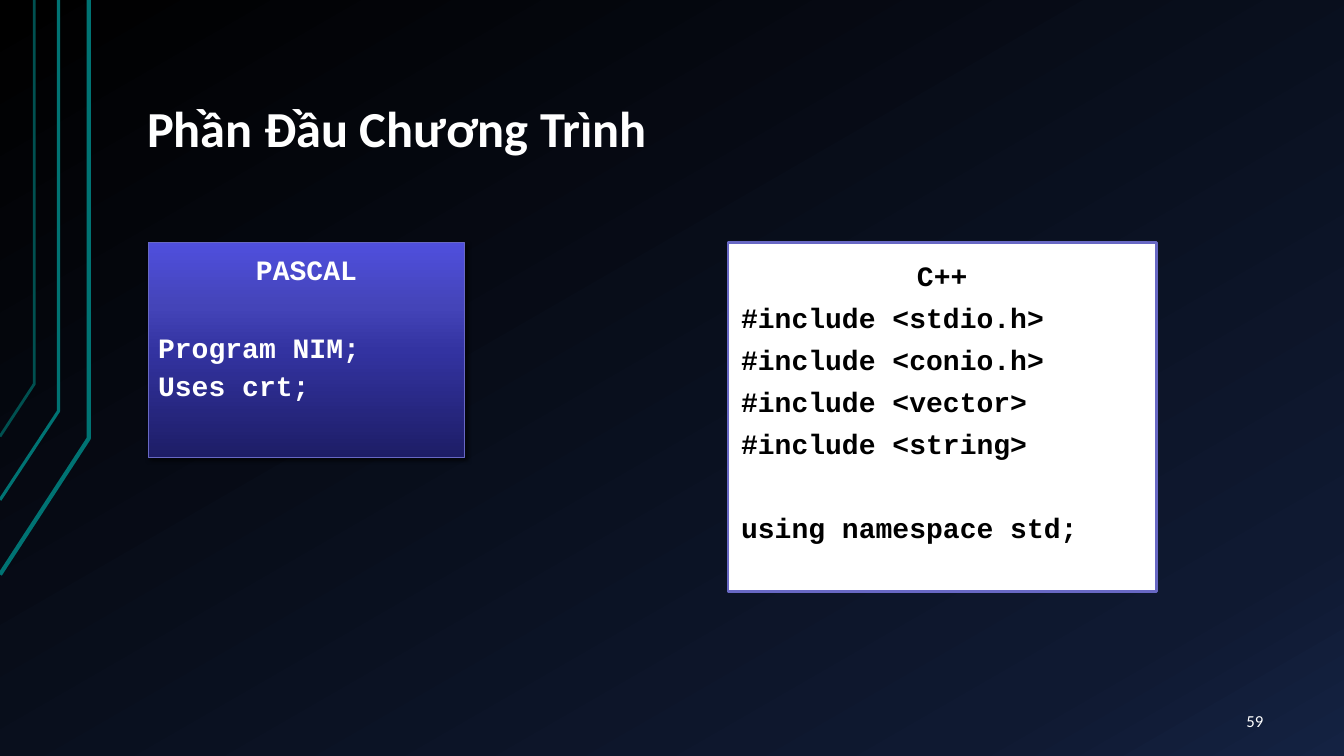
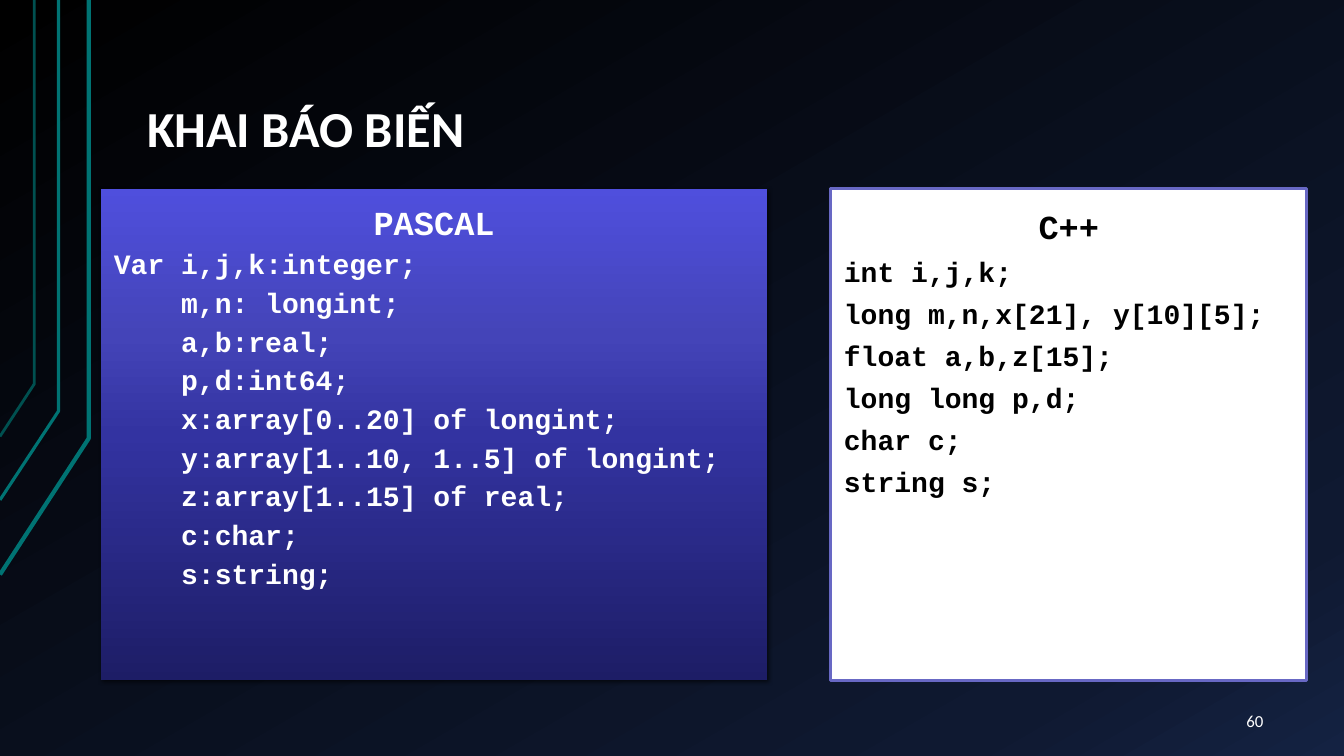
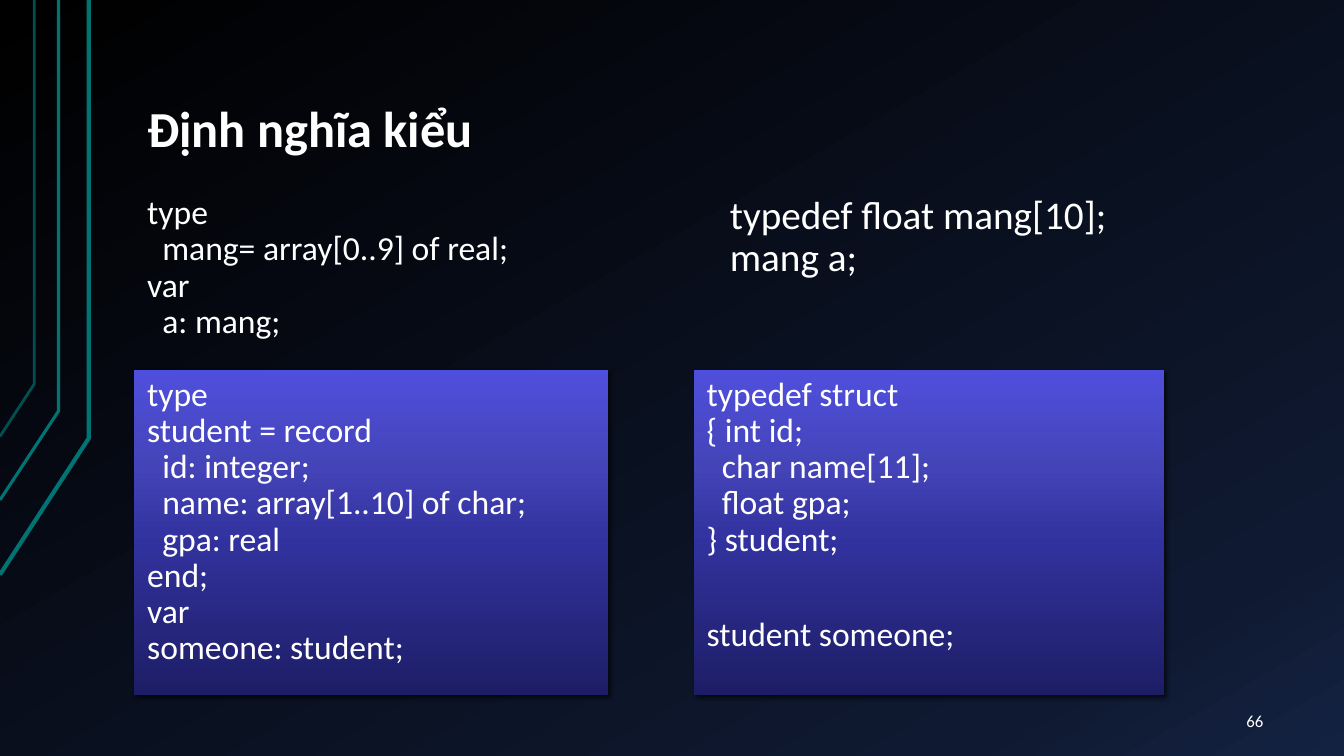
import pptx
import pptx.dml.color
import pptx.enum.shapes
import pptx.enum.text
import pptx.oxml
import pptx.oxml.ns
import pptx.util
from dataclasses import dataclass

Inches = pptx.util.Inches
Pt = pptx.util.Pt
qn = pptx.oxml.ns.qn

WHITE, BLACK, BORDER = "FFFFFF", "000000", "6868C4"
NIGHT = [(0, "000000"), (85, "0F1931"), (100, "142242")]
INDIGO = [(0, "1D1D66"), (50, "3333A1"), (70, "4444B8"), (100, "4F4FDD")]
# Side rails: points in inches, colour, width in points
RAILS = [
    ([(0, 5.7), (0.88, 4.35), (0.88, 0)], "007373", 3),
    ([(0, 4.96), (0.58, 4.08), (0.58, 0)], "007373", 2.25),
    ([(0, 4.33), (0.34, 3.81), (0.34, 0)], "005050", 2),
]
WIDE_INSET = (0.13, 0.07)


@dataclass
class CodeStyle:
    font: str
    size: float
    color: str
    bold: bool
    spacing: float
    space_width: float  # width of one space, as a share of the text size


PASCAL = CodeStyle("Courier New", 20, WHITE, True, 1.15, 0.6)
CPP = CodeStyle("Courier New", 20, BLACK, True, 1.25, 0.6)
PLAIN = CodeStyle("Calibri", 24, WHITE, False, 0.9, 0.226)
PLAIN_LARGE = CodeStyle("Calibri", 28, WHITE, False, 0.9, 0.226)


def rgb(hex_color):
    return pptx.dml.color.RGBColor.from_string(hex_color)


def sub(parent, tag, **attributes):
    child = parent.makeelement(qn(tag), {k: str(v) for k, v in attributes.items()})
    parent.append(child)
    return child


def set_gradient(fill, element, stops, angle):
    """Give a fill any number of stops; angle is clockwise in degrees."""
    fill.gradient()
    gradient = next(element.iter(qn("a:gradFill")))
    for child in list(gradient):
        gradient.remove(child)
    stop_list = sub(gradient, "a:gsLst")
    for position, color in stops:
        stop = sub(stop_list, "a:gs", pos=position * 1000)
        sub(stop, "a:srgbClr", val=color)
    sub(gradient, "a:lin", ang=angle * 60000, scaled=0)


def add_drop_shadow(shape):
    effects = shape._element.spPr.find(qn("a:effectLst"))
    shadow = sub(effects, "a:outerShdw", blurRad=Pt(3), dist=Pt(2),
                 dir=45 * 60000, algn="tl", rotWithShape=0)
    sub(sub(shadow, "a:srgbClr", val=BLACK), "a:alpha", val=60000)


def set_frame(frame, anchor, inset=WIDE_INSET):
    frame.word_wrap = True
    frame.auto_size = pptx.enum.text.MSO_AUTO_SIZE.NONE
    frame.vertical_anchor = anchor
    frame.margin_left = frame.margin_right = Inches(inset[0])
    frame.margin_top = frame.margin_bottom = Inches(inset[1])


def add_run(paragraph, text, font, size, color, bold=False):
    run = paragraph.add_run()
    run.text = text
    run.font.name = font
    run.font.size = Pt(size)
    run.font.bold = bold
    run.font.color.rgb = rgb(color)


def write_code(frame, code, style, heading=None, heading_size=None, gaps=None,
               inset=WIDE_INSET):
    """One paragraph a line; leading spaces become a left margin.

    gaps maps a line's index to the points of space before it.
    """
    set_frame(frame, pptx.enum.text.MSO_ANCHOR.TOP, inset)
    align = pptx.enum.text.PP_ALIGN
    rows = [(line, style.size, align.LEFT, (gaps or {}).get(index, 0))
            for index, line in enumerate(code)]
    if heading:
        rows.insert(0, (heading, heading_size or style.size, align.CENTER, 0))
    for index, (line, size, alignment, gap) in enumerate(rows):
        paragraph = frame.add_paragraph() if index else frame.paragraphs[0]
        paragraph.alignment = alignment
        paragraph.line_spacing = style.spacing
        paragraph.space_before = Pt(gap)
        text = line.lstrip(" ")
        margin = (len(line) - len(text)) * style.space_width * size
        paragraph._p.get_or_add_pPr().set("marL", str(int(Pt(margin))))
        add_run(paragraph, text, style.font, size, style.color, style.bold)


def add_rectangle(slide, box):
    shape = slide.shapes.add_shape(
        pptx.enum.shapes.MSO_SHAPE.RECTANGLE, *map(Inches, box))
    shape.shadow.inherit = False
    return shape


def add_indigo_panel(slide, box, code, style, outlined=False, **options):
    panel = add_rectangle(slide, box)
    set_gradient(panel.fill, panel._element, INDIGO, 270)
    if outlined:
        panel.line.color.rgb = rgb(BORDER)
        panel.line.width = Pt(0.75)
    else:
        panel.line.fill.background()
    add_drop_shadow(panel)
    write_code(panel.text_frame, code, style, **options)


def add_white_panel(slide, box, code, **options):
    panel = add_rectangle(slide, box)
    panel.fill.solid()
    panel.fill.fore_color.rgb = rgb(WHITE)
    panel.line.color.rgb = rgb(BORDER)
    panel.line.width = Pt(2)
    write_code(panel.text_frame, code, CPP, **options)


def add_open_code(slide, box, code, style):
    listing = slide.shapes.add_textbox(*map(Inches, box))
    write_code(listing.text_frame, code, style)


def add_rails(slide):
    for points, color, width in RAILS:
        start, *rest = [(Inches(x), Inches(y)) for x, y in points]
        builder = slide.shapes.build_freeform(*start)
        builder.add_line_segments(rest, close=False)
        rail = builder.convert_to_shape()
        rail.shadow.inherit = False
        rail.fill.background()
        rail.line.color.rgb = rgb(color)
        rail.line.width = Pt(width)


def add_base_slide(prs, heading, number):
    """Slide with rails, title and page number."""
    slide = prs.slides.add_slide(prs.slide_layouts[5])
    add_rails(slide)

    title = slide.shapes.title
    title.left, title.top, title.width, title.height = map(
        Inches, (1.33, 0.3, 11.33, 1.34))
    set_frame(title.text_frame, pptx.enum.text.MSO_ANCHOR.BOTTOM)
    paragraph = title.text_frame.paragraphs[0]
    paragraph.alignment = pptx.enum.text.PP_ALIGN.LEFT
    paragraph.line_spacing = 0.9
    add_run(paragraph, heading, "Calibri", 36, WHITE, True)

    page = slide.shapes.add_textbox(*map(Inches, (11.55, 6.95, 1.11, 0.4)))
    set_frame(page.text_frame, pptx.enum.text.MSO_ANCHOR.MIDDLE)
    paragraph = page.text_frame.paragraphs[0]
    paragraph.alignment = pptx.enum.text.PP_ALIGN.RIGHT
    add_run(paragraph, str(number), "Calibri", 12, WHITE)
    return slide


def build_program_header(prs):
    slide = add_base_slide(prs, "Phần Đầu Chương Trình", 59)
    add_indigo_panel(slide, (1.47, 2.41, 3.14, 2.13),
                     ["Program NIM;", "Uses crt;"], PASCAL, outlined=True,
                     heading="PASCAL", gaps={0: 27.6}, inset=(0.1, 0.05))
    add_white_panel(slide, (7.22, 2.41, 4.25, 3.46), [
        "#include <stdio.h>",
        "#include <conio.h>",
        "#include <vector>",
        "#include <string>",
        "using namespace std;",
    ], heading="C++", gaps={4: 30})


def build_variables(prs):
    slide = add_base_slide(prs, "KHAI BÁO BIẾN", 60)
    top, height = 1.87, 4.88
    add_indigo_panel(slide, (1, top, 6.61, height), [
        "Var i,j,k:integer;",
        "    m,n: longint;",
        "    a,b:real;",
        "    p,d:int64;",
        "    x:array[0..20] of longint;",
        "    y:array[1..10, 1..5] of longint;",
        "    z:array[1..15] of real;",
        "    c:char;",
        "    s:string;",
    ], PASCAL, heading="PASCAL", heading_size=24)
    add_white_panel(slide, (8.24, top, 4.72, height), [
        "int i,j,k;",
        "long m,n,x[21], y[10][5];",
        "float a,b,z[15];",
        "long long p,d;",
        "char c;",
        "string s;",
    ], heading="C++", heading_size=24)


def build_type_definitions(prs):
    slide = add_base_slide(prs, "Định nghĩa kiểu", 66)
    # Array types
    add_open_code(slide, (1.33, 1.87, 5.55, 1.96), [
        "type",
        "  mang= array[0..9] of real;",
        "var",
        "  a: mang;",
    ], PLAIN)
    add_open_code(slide, (7.11, 1.87, 5.55, 1.57),
                  ["typedef float mang[10];", "mang a;"], PLAIN_LARGE)
    # Record types
    top, height = 3.67, 3.23
    add_indigo_panel(slide, (1.33, top, 4.7, height), [
        "type",
        "student = record",
        "  id: integer;",
        "  name: array[1..10] of char;",
        "  gpa: real",
        "end;",
        "var",
        "someone: student;",
    ], PLAIN)
    add_indigo_panel(slide, (6.88, top, 4.67, height), [
        "typedef struct",
        "{ int id;",
        "  char name[11];",
        "  float gpa;",
        "} student;",
        "student someone;",
    ], PLAIN, gaps={5: 42})


def main():
    prs = pptx.Presentation()
    prs.slide_width, prs.slide_height = Inches(13.33), Inches(7.5)
    master = prs.slide_master
    set_gradient(master.background.fill, master.element, NIGHT, 60)
    build_program_header(prs)
    build_variables(prs)
    build_type_definitions(prs)
    prs.save("out.pptx")


if __name__ == "__main__":
    main()
